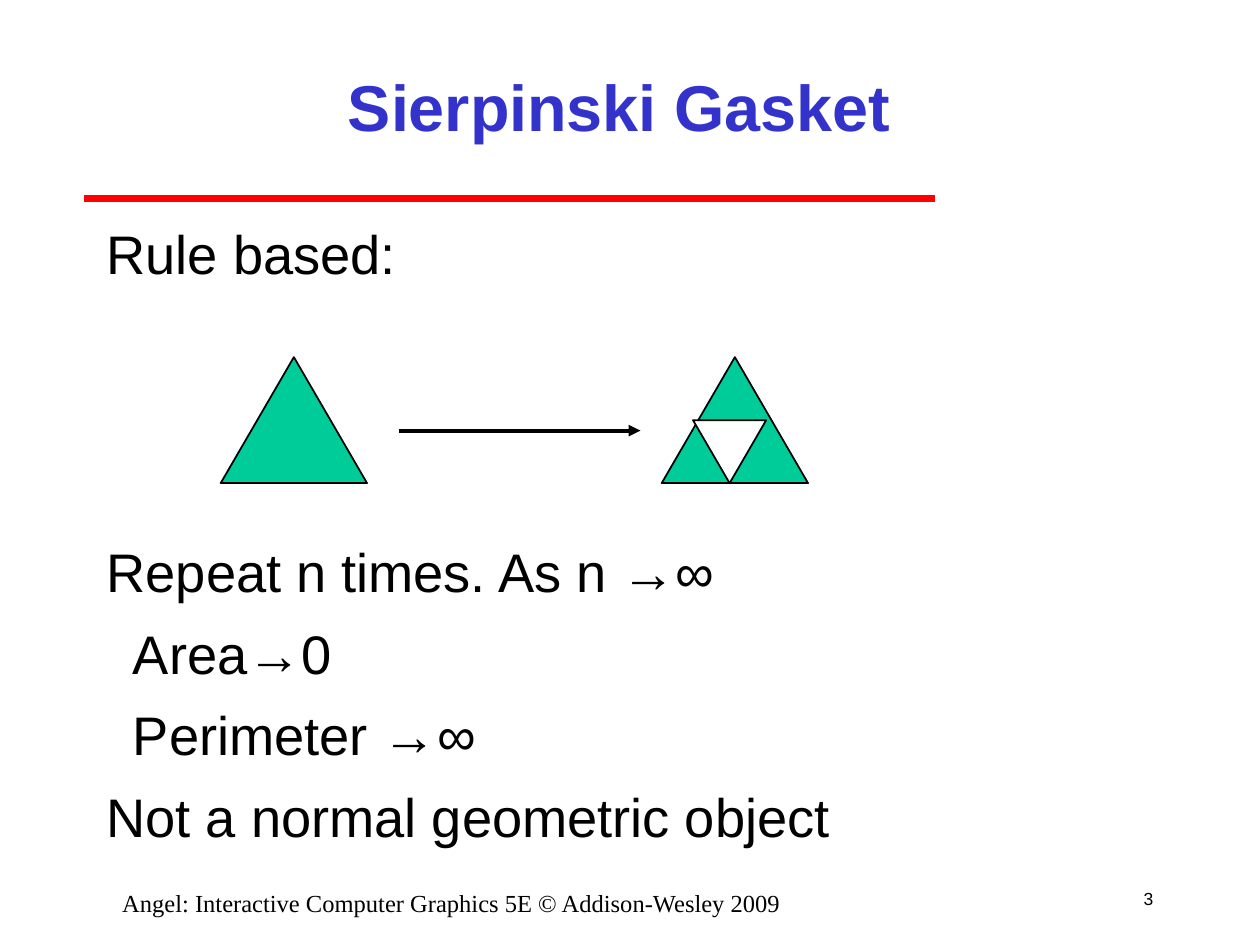
from dataclasses import dataclass

from pptx import Presentation, util as u
from pptx.dml.color import RGBColor
from pptx.enum import shapes, text
from pptx.oxml import parse_xml
from pptx.oxml.ns import nsdecls

Cm, Pt = u.Cm, u.Pt
LEFT, MID, RIGHT = text.PP_ALIGN.LEFT, text.PP_ALIGN.CENTER, text.PP_ALIGN.RIGHT


@dataclass(frozen=True)
class Theme:
    sans: str = "Arial"
    serif: str = "Times New Roman"
    black: str = "000000"
    white: str = "FFFFFF"
    blue: str = "3333CC"
    red: str = "FF0000"
    green: str = "00CC99"
    title: float = 37
    body: float = 31
    foot: float = 14
    num: float = 10
    gap: float = 9.4


class Page:
    def __init__(self, slide, theme):
        self.slide = slide
        self.theme = theme

    def text(self, box, lines, size, color=None, font=None, bold=False,
             align=LEFT, middle=False, wrap=True):
        """Add a text box; lines holds (words, space before in pt, indent in cm)."""
        frame = self.slide.shapes.add_textbox(*map(Cm, box)).text_frame
        frame.word_wrap = wrap
        frame.vertical_anchor = (text.MSO_ANCHOR.MIDDLE if middle
                                 else text.MSO_ANCHOR.TOP)
        for i, (words, gap, indent) in enumerate(lines):
            para = frame.paragraphs[0] if i == 0 else frame.add_paragraph()
            para.text = words
            para.alignment = align
            para.space_before = Pt(gap)
            if indent:
                para._p.get_or_add_pPr().set("marL", str(Cm(indent)))
            para.font.size = Pt(size)
            para.font.bold = bold
            para.font.name = font or self.theme.sans
            para.font.color.rgb = RGBColor.from_string(color or self.theme.black)

    def line(self, start, end, color, width, arrow=False):
        line = self.slide.shapes.add_connector(
            shapes.MSO_CONNECTOR.STRAIGHT, *map(Cm, start + end))
        line.line.color.rgb = RGBColor.from_string(color)
        line.line.width = Pt(width)
        if arrow:
            line.line._get_or_add_ln().append(
                parse_xml(f'<a:tailEnd {nsdecls("a")} type="triangle"/>'))
        line._element.spPr.append(parse_xml(f'<a:effectLst {nsdecls("a")}/>'))

    def tri(self, box, fill, turn=0):
        tri = self.slide.shapes.add_shape(
            shapes.MSO_SHAPE.ISOSCELES_TRIANGLE, *map(Cm, box))
        tri.shadow.inherit = False
        tri.rotation = turn
        tri.fill.solid()
        tri.fill.fore_color.rgb = RGBColor.from_string(fill)
        tri.line.color.rgb = RGBColor.from_string(self.theme.black)
        tri.line.width = Pt(1)


def main():
    deck = Presentation()
    deck.slide_width, deck.slide_height = Cm(25.4), Cm(19.05)
    theme = Theme()
    page = Page(deck.slides.add_slide(deck.slide_layouts[6]), theme)

    page.line((1.7, 4.01), (18.85, 4.01), theme.red, 4)
    page.text((22.43, 17.58, 1.07, 1.07), [("3", 0, 0)], theme.num,
              align=RIGHT, middle=True, wrap=False)
    page.text((1.27, 17.78, 15.67, 0.64),
              [("Angel: Interactive Computer Graphics 5E © Addison-Wesley 2009", 0, 0)],
              theme.foot, font=theme.serif, align=MID)
    page.text((3.81, 0.64, 17.35, 2.97), [("Sierpinski Gasket", 0, 0)],
              theme.title, theme.blue, bold=True, align=MID, middle=True)

    # The space before the second line leaves room for the drawing.
    page.text((1.9, 4.32, 21.59, 13.05), [
        ("Rule based:", 0, 0),
        ("Repeat n times. As n →∞", 144.4, 0),
        ("Area→0", theme.gap, 0.53),
        ("Perimeter →∞", theme.gap, 0.53),
        ("Not a normal geometric object", theme.gap, 0),
    ], theme.body)

    wide, high, top = 2.95, 2.54, 7.2
    for left in (4.45, 13.34):
        page.tri((left, top, wide, high), theme.green)
    page.tri((13.97, top + high / 2, wide / 2, high / 2), theme.white, 180)
    page.line((8.05, 8.68), (12.91, 8.68), theme.black, 2.25, arrow=True)

    deck.save("out.pptx")


if __name__ == "__main__":
    main()
